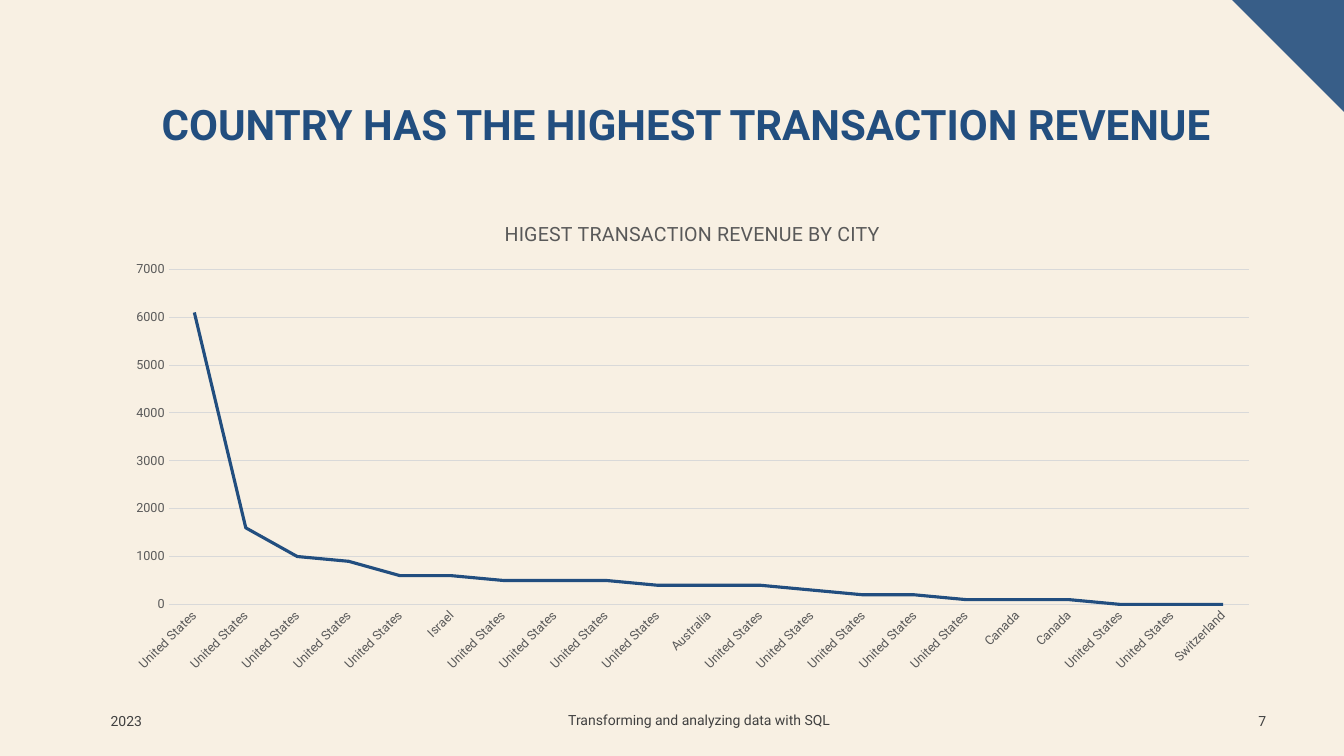
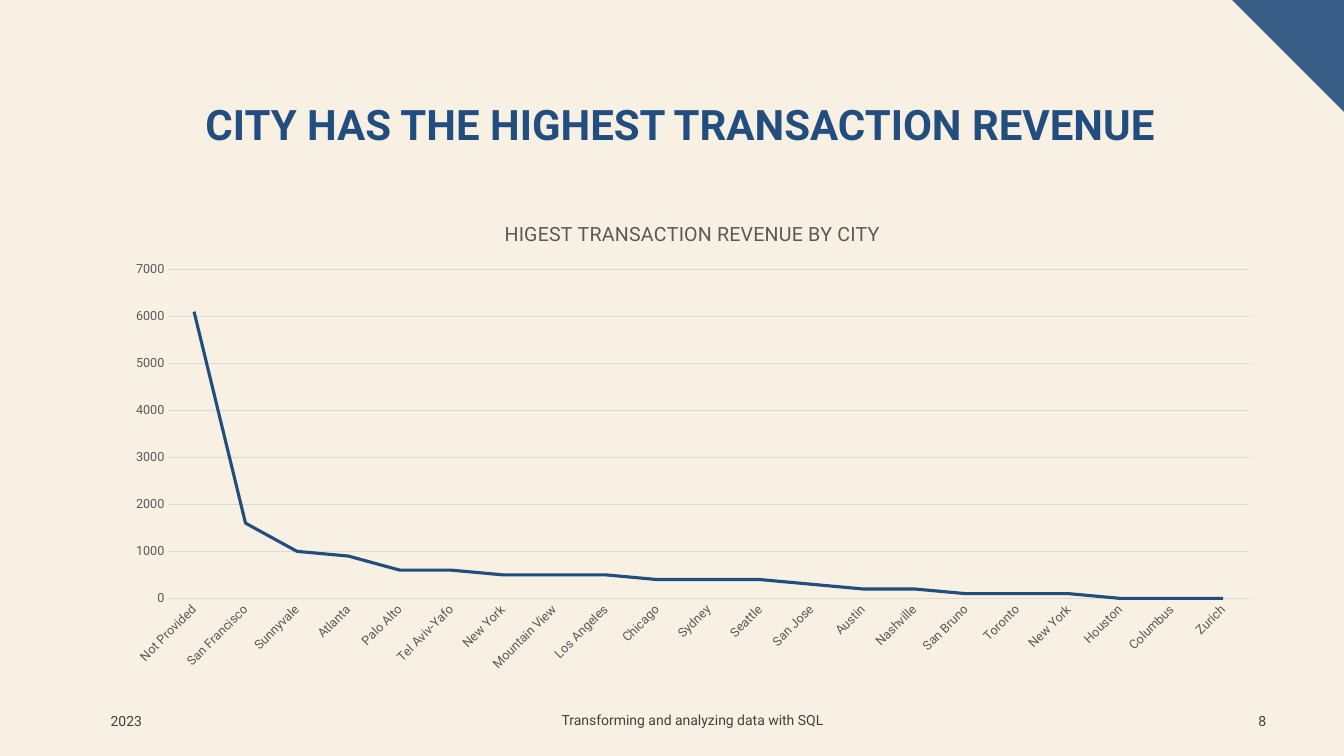
"""Build two slides that chart transaction revenue by country and by city."""
from dataclasses import dataclass

from pptx import Presentation
from pptx.chart import data as chart_data
from pptx.dml.color import RGBColor
from pptx.enum import chart as ch, shapes, text
from pptx.oxml.ns import qn
from pptx.util import Pt


@dataclass(frozen=True)
class Theme:
    font: str = "Roboto"
    paper: RGBColor = RGBColor(0xF8, 0xF0, 0xE3)
    corner: RGBColor = RGBColor(0x38, 0x5E, 0x88)
    accent: RGBColor = RGBColor(0x22, 0x4E, 0x7F)
    footer: RGBColor = RGBColor(0x40, 0x40, 0x40)
    label: RGBColor = RGBColor(0x59, 0x59, 0x59)
    rule: RGBColor = RGBColor(0xD9, 0xD9, 0xD9)
    title_size: int = 30
    chart_title_size: int = 14
    footer_size: int = 10
    label_size: int = 9


SLIDE_WIDTH, SLIDE_HEIGHT = 960, 540
US = "United States"
COUNTRIES = ([US] * 5 + ["Israel"] + [US] * 4 + ["Australia"] + [US] * 5
             + ["Canada"] * 2 + [US] * 2 + ["Switzerland"])
CITIES = ["Not Provided", "San Francisco", "Sunnyvale", "Atlanta", "Palo Alto",
          "Tel Aviv-Yafo", "New York", "Mountain View", "Los Angeles", "Chicago",
          "Sydney", "Seattle", "San Jose", "Austin", "Nashville", "San Bruno",
          "Toronto", "New York", "Houston", "Columbus", "Zurich"]
REVENUE = [6100, 1600, 1000, 900, 600, 600, 500, 500, 500, 400, 400, 400,
           300, 200, 200, 100, 100, 100, 0, 0, 0]


class Deck:
    """Holds the theme, the presentation and the current slide."""

    def __init__(self, theme):
        self.theme = theme
        self.prs = Presentation()
        self.prs.slide_width, self.prs.slide_height = Pt(SLIDE_WIDTH), Pt(SLIDE_HEIGHT)
        self.fill(self.prs.slide_master.background.fill, theme.paper)
        self.slide = None

    def fill(self, fill, color):
        """Make a fill solid in one colour."""
        fill.solid()
        fill.fore_color.rgb = color

    def style(self, font, size, color, bold=False):
        """Apply the theme font with a size, colour and weight."""
        font.name, font.size, font.bold = self.theme.font, Pt(size), bold
        font.color.rgb = color

    def add_slide(self, title, title_width):
        """Start a slide with its title and corner."""
        self.slide = self.prs.slides.add_slide(self.prs.slide_layouts[5])
        self.corner(80)
        self.title(title, title_width)

    def corner(self, side):
        """Draw the triangle in the top right corner."""
        corner = self.slide.shapes.add_shape(
            shapes.MSO_SHAPE.RIGHT_TRIANGLE, Pt(SLIDE_WIDTH - side), 0, Pt(side), Pt(side))
        corner.rotation = 180
        corner.shadow.inherit = False
        self.fill(corner.fill, self.theme.corner)
        corner.line.fill.background()

    def title(self, wording, width):
        """Place and format the title placeholder."""
        title = self.slide.shapes.title
        title.left, title.top, title.width, title.height = Pt(72), Pt(70.5), Pt(width), Pt(104.4)
        frame = title.text_frame
        frame.text = wording
        frame.auto_size = text.MSO_AUTO_SIZE.NONE
        frame.vertical_anchor = text.MSO_ANCHOR.TOP
        heading = frame.paragraphs[0]
        heading.alignment, heading.line_spacing = text.PP_ALIGN.CENTER, 0.9
        self.style(heading.font, self.theme.title_size, self.theme.accent, True)

    def footer_text(self, wording, left, top, width, align):
        """Add one part of the footer."""
        box = self.slide.shapes.add_textbox(Pt(left), Pt(top), Pt(width), Pt(28.8))
        frame = box.text_frame
        frame.word_wrap = True
        frame.vertical_anchor = text.MSO_ANCHOR.MIDDLE
        frame.text = wording
        line = frame.paragraphs[0]
        line.alignment = align
        self.style(line.font, self.theme.footer_size, self.theme.footer)

    def footer(self, number, left, width):
        """Add the year, the deck name and the page number."""
        self.footer_text("2023", 72, 500.4, 86.4, text.PP_ALIGN.LEFT)
        self.footer_text("Transforming and analyzing data with SQL",
                         left, 499.7, width, text.PP_ALIGN.CENTER)
        self.footer_text(str(number), 875.5, 500.4, 36, text.PP_ALIGN.RIGHT)

    def rule(self, line, color, width):
        """Set the colour and width of a line."""
        line.color.rgb, line.width = color, Pt(width)

    def line_chart(self, heading, places, revenue):
        """Chart revenue by place as a line."""
        theme = self.theme
        figures = chart_data.CategoryChartData()
        figures.categories = places
        figures.add_series("Series 1", revenue)
        chart = self.slide.shapes.add_chart(
            ch.XL_CHART_TYPE.LINE, Pt(80.6), Pt(144), Pt(828), Pt(342.7), figures).chart
        chart.font.name, chart.font.size = theme.font, Pt(theme.footer_size)
        chart.has_legend = False
        chart.has_title = True
        chart.chart_title.include_in_layout = False
        chart.chart_title.text_frame.text = heading
        self.style(chart.chart_title.text_frame.paragraphs[0].font,
                   theme.chart_title_size, theme.label)

        place_axis, revenue_axis = chart.category_axis, chart.value_axis
        for axis in (place_axis, revenue_axis):
            axis.major_tick_mark = axis.minor_tick_mark = ch.XL_TICK_MARK.NONE
            self.style(axis.tick_labels.font, theme.label_size, theme.label)
        place_axis._element.find(qn("c:txPr")).find(qn("a:bodyPr")).set("rot", "-2700000")
        self.rule(place_axis.format.line, theme.rule, 0.75)
        revenue_axis.format.line.fill.background()
        revenue_axis.minimum_scale, revenue_axis.maximum_scale = 0, 7000
        revenue_axis.major_unit = 1000
        self.rule(revenue_axis.major_gridlines.format.line, theme.rule, 0.75)

        chart.plots[0].vary_by_categories = False
        series = chart.plots[0].series[0]
        series.smooth = False
        series.marker.style = ch.XL_MARKER_STYLE.NONE
        self.rule(series.format.line, theme.accent, 2.25)


def main():
    deck = Deck(Theme())
    pages = [
        (7, "COUNTRY", COUNTRIES, 836.6, 110.9, 776.9),
        (8, "CITY", CITIES, 828, 113, 763.2),
    ]
    for number, subject, places, title_width, footer_left, footer_width in pages:
        deck.add_slide(f"{subject} HAS THE HIGHEST TRANSACTION REVENUE", title_width)
        deck.footer(number, footer_left, footer_width)
        deck.line_chart("HIGEST TRANSACTION REVENUE BY CITY", places, REVENUE)
    deck.prs.save("out.pptx")


if __name__ == "__main__":
    main()
